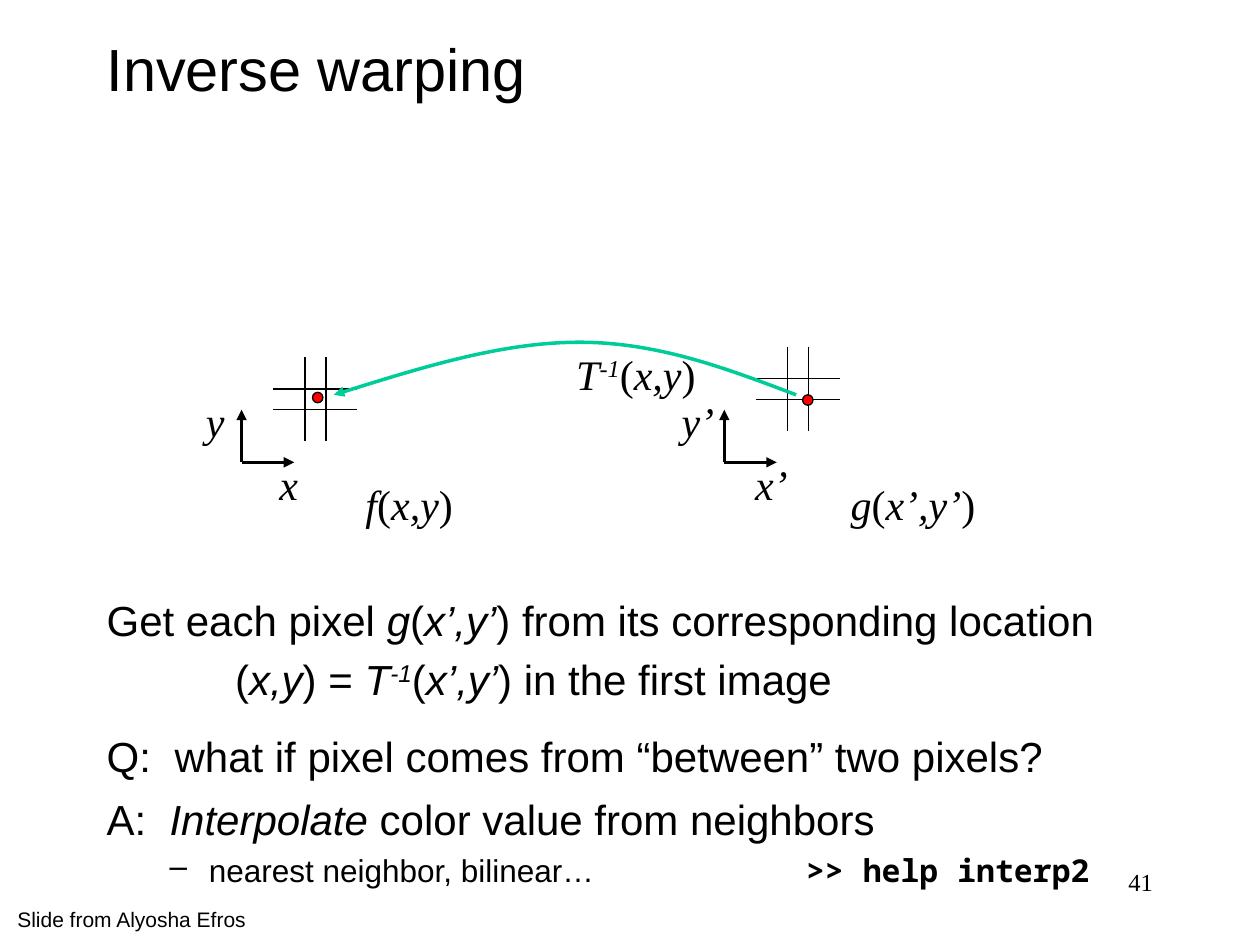
from dataclasses import dataclass

from lxml.etree import SubElement
from pptx import Presentation
from pptx.dml.color import RGBColor
from pptx.enum.shapes import MSO_CONNECTOR as Connector, MSO_SHAPE as Shape
from pptx.enum.text import MSO_ANCHOR as Anchor, PP_ALIGN as Align
from pptx.oxml.ns import qn
from pptx.util import Cm, Pt


@dataclass(frozen=True)
class Theme:
    ink: RGBColor = RGBColor(0, 0, 0)
    dot: RGBColor = RGBColor(0xFF, 0, 0)
    curve: RGBColor = RGBColor(0, 0xCC, 0x99)
    sans: str = "Arial"
    serif: str = "Times New Roman"
    mono: str = "Noto Sans Mono"
    title: float = 34
    body: float = 24
    detail: float = 18
    number: float = 14
    credit: float = 12


@dataclass(frozen=True)
class Box:
    left: float
    top: float
    width: float
    height: float

    def lengths(self):
        return [Cm(value) for value in (self.left, self.top, self.width, self.height)]

    def inner(self, left, top, width, height):
        return Box(self.left + left, self.top + top, width, height)


THEME = Theme()


def write_runs(paragraph, parts, size, font_name, bold=False):
    for part in parts:
        text, style = part if isinstance(part, tuple) else (part, "")
        run = paragraph.add_run()
        run.text = text
        run.font.size = Pt(size)
        run.font.name = font_name
        run.font.color.rgb = THEME.ink
        run.font.bold = bold
        run.font.italic = style != ""
        if style == "super":
            run.font._element.set("baseline", "30000")


def add_text(slide, box, parts, size, font_name, align=Align.LEFT, bold=False):
    text_frame = slide.shapes.add_textbox(*box.lengths()).text_frame
    text_frame.word_wrap = True
    paragraph = text_frame.paragraphs[0]
    paragraph.alignment = align
    write_runs(paragraph, parts, size, font_name, bold)
    return text_frame


def add_formula(slide, box, parts):
    add_text(slide, box, parts, THEME.body, THEME.serif, Align.CENTER)


def set_indent(paragraph, margin, first_line):
    properties = paragraph._p.get_or_add_pPr()
    properties.set("marL", str(Cm(margin)))
    properties.set("indent", str(Cm(first_line)))
    return properties


def add_arrowhead(shape, end):
    SubElement(shape.line._get_or_add_ln(), qn(f"a:{end}"), type="triangle")


def add_line(slide, start, end, width, arrow=False):
    points = [Cm(value) for value in (*start, *end)]
    line = slide.shapes.add_connector(Connector.STRAIGHT, *points)
    line.line.color.rgb = THEME.ink
    line.line.width = Pt(width)
    if arrow:
        add_arrowhead(line, "tailEnd")
    SubElement(line._element.spPr, qn("a:effectLst"))


def add_title(slide, box):
    text_frame = add_text(slide, box, ["Inverse warping"], THEME.title, THEME.sans)
    text_frame.vertical_anchor = Anchor.MIDDLE


def add_pixel_grid(slide, box, dot_offset):
    right, bottom = box.left + box.width, box.top + box.height
    for offset in (0.64, 1.06):
        x, y = box.left + offset, box.top + offset
        add_line(slide, (x, box.top), (x, bottom), 0.75)
        add_line(slide, (box.left, y), (right, y), 0.75)
    dot = slide.shapes.add_shape(Shape.OVAL, *box.inner(*dot_offset, 0.21, 0.21).lengths())
    dot.shadow.inherit = False
    dot.fill.solid()
    dot.fill.fore_color.rgb = THEME.dot
    dot.line.color.rgb = THEME.ink
    dot.line.width = Pt(0.75)


def add_image_plane(slide, box, name, prime, grid_top, dot_offset):
    x, y = "x" + prime, "y" + prime
    origin = (box.left + 1.48, box.top + 2.33)
    axis = 1.06
    add_pixel_grid(slide, box.inner(2.12, grid_top, 1.69, 1.69), dot_offset)
    add_line(slide, origin, (origin[0], origin[1] - axis), 1.5, arrow=True)
    add_line(slide, origin, (origin[0] + axis, origin[1]), 1.5, arrow=True)
    add_formula(slide, box.inner(0, 0.85, 1.9, 1.27), [(y, "italic")])
    add_formula(slide, box.inner(1.48, 2.12, 1.9, 1.27), [(x, "italic")])
    function_label = [(name, "italic"), "(", (f"{x},{y}", "italic"), ")"]
    add_formula(slide, box.inner(3.38, 2.54, box.width - 3.38, 1.27), function_label)


def add_inverse_mapping(slide, box):
    left, top, width, height = box.lengths()
    peak = Cm(4.95)
    builder = slide.shapes.build_freeform(left, top + height)
    builder.add_line_segments([(left + peak, top), (left + width, top + height)], close=False)
    curve = builder.convert_to_shape()
    segments = [
        [(Cm(1.7), Cm(0.53)), (Cm(3.4), 0), (peak, 0)],
        [(Cm(6.53), 0), (Cm(7.92), Cm(0.53)), (width, height)],
    ]
    for segment, points in zip(curve._element.findall(".//" + qn("a:lnTo")), segments):
        segment.tag = qn("a:cubicBezTo")
        segment.remove(segment[0])
        for x, y in points:
            SubElement(segment, qn("a:pt"), x=str(x), y=str(y))
    curve.shadow.inherit = False
    curve.fill.background()
    curve.line.color.rgb = THEME.curve
    curve.line.width = Pt(2)
    add_arrowhead(curve, "headEnd")
    label = [("T", "italic"), ("-1", "super"), "(", ("x,y", "italic"), ")"]
    add_formula(slide, box.inner(4.5, 0, 3.18, 1.27), label)


def add_explanation(slide, box):
    first = ["Get each pixel ", ("g", "italic"), "(", ("x’,y’", "italic"),
             ") from its corresponding location"]
    second = ["(", ("x,y", "italic"), ") = ", ("T", "italic"), ("-1", "super"),
              "(", ("x’,y’", "italic"), ") in the first image"]
    text_frame = add_text(slide, box, first, THEME.body, THEME.sans)
    set_indent(text_frame.paragraphs[0], 0.95, -0.95)
    paragraph = text_frame.add_paragraph()
    paragraph.space_before = Pt(5)
    set_indent(paragraph, 2.59, 0)
    write_runs(paragraph, second, THEME.body, THEME.sans)


def add_question_and_answer(slide, box):
    question = ["Q:\twhat if pixel comes from “between” two pixels?"]
    answer = ["A:\t", ("Interpolate", "italic"), " color value from neighbors"]
    rows = [(question, 0, 1.37), (answer, 1.27, 1.27)]
    for parts, top, hanging in rows:
        row = box.inner(0, top, box.width, 2.54)
        text_frame = add_text(slide, row, parts, THEME.body, THEME.sans)
        set_indent(text_frame.paragraphs[0], hanging, -hanging)
    detail = text_frame.add_paragraph()
    detail.level = 1
    detail.space_before = Pt(4)
    SubElement(set_indent(detail, 2.06, -0.79), qn("a:buChar"), char="–")
    write_runs(detail, ["nearest neighbor, bilinear…"], THEME.detail, THEME.sans)
    command = box.inner(14.1, 2.44, 10.95, 1.02)
    add_text(slide, command, [">> help interp2"], THEME.detail, THEME.mono, bold=True)


def add_footer(slide, box):
    credit = box.inner(0, 0.81, 6.81, 0.76)
    number = box.inner(18.11, 0, 5.28, 1.27)
    add_text(slide, credit, ["Slide from Alyosha Efros"], THEME.credit, THEME.sans)
    add_text(slide, number, ["41"], THEME.number, THEME.serif, Align.RIGHT)


def main():
    presentation = Presentation()
    presentation.slide_width = Cm(25.4)
    presentation.slide_height = Cm(19.05)
    slide = presentation.slides.add_slide(presentation.slide_layouts[6])
    add_title(slide, Box(1.9, 0.2, 21.59, 2.34))
    add_image_plane(slide, Box(3.39, 6.99, 6.34, 3.81), "f", "", 0.21, (0.79, 0.71))
    add_image_plane(slide, Box(13.12, 6.99, 7.19, 3.81), "g", "’", 0, (0.94, 0.97))
    add_inverse_mapping(slide, Box(6.73, 6.9, 9.32, 1.06))
    add_explanation(slide, Box(1.9, 11.85, 21.59, 2.75))
    add_question_and_answer(slide, Box(1.9, 14.6, 22.23, 3.81))
    add_footer(slide, Box(0.1, 17.35, 23.39, 1.57))
    presentation.save("out.pptx")


if __name__ == "__main__":
    main()
